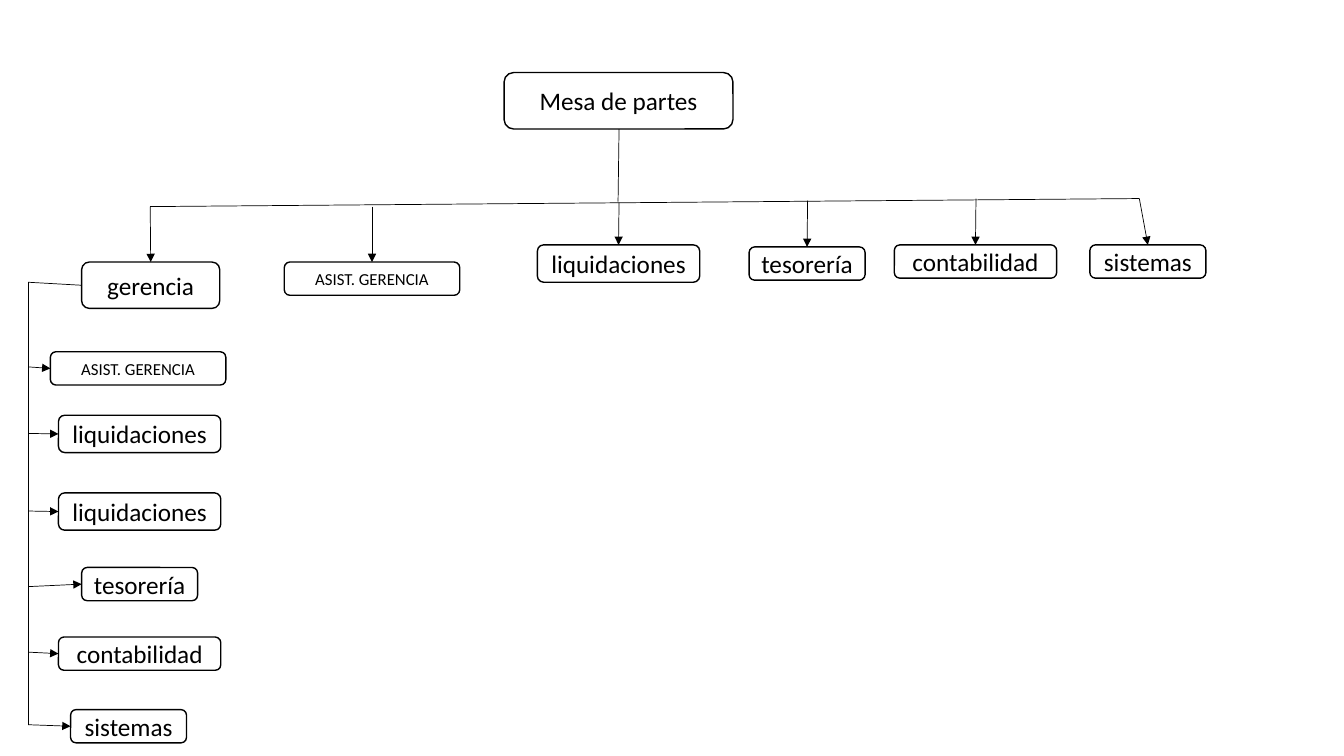
from lxml.etree import SubElement
from pptx import Presentation
from pptx.dml.color import RGBColor
from pptx.enum.shapes import MSO_CONNECTOR, MSO_SHAPE
from pptx.enum.text import MSO_ANCHOR, PP_ALIGN
from pptx.oxml.ns import qn
from pptx.util import Inches, Pt

COLOURS = {"ink": "000000", "paper": "FFFFFF"}
FONT = {"name": "Calibri"}

# Box: text, left, top, width, height, text size
ROOT = ("Mesa de partes", 5, 0.72, 2.27, 0.56, 18)

# Each box is followed by the height or position where its arrow leaves the trunk
AREAS = [
    (("gerencia", 0.81, 2.6, 1.37, 0.46, 18), (1.49, 2.05)),
    (("ASIST. GERENCIA", 2.82, 2.6, 1.74, 0.33, 12), (3.69, 2.05)),
    (("liquidaciones", 5.33, 2.43, 1.61, 0.37, 18), (6.14, 2.01)),
    (("tesorería", 7.43, 2.45, 1.15, 0.33, 18), (8.01, 1.99)),
    (("contabilidad", 8.87, 2.43, 1.61, 0.33, 18), (9.68, 1.97)),
    (("sistemas", 10.81, 2.43, 1.15, 0.33, 18), (11.3, 1.97)),
]
MANAGED = [
    (("ASIST. GERENCIA", 0.5, 3.49, 1.74, 0.33, 12), 3.64),
    (("liquidaciones", 0.58, 4.12, 1.61, 0.37, 18), 4.3),
    (("liquidaciones", 0.58, 4.89, 1.61, 0.37, 18), 5.07),
    (("tesorería", 0.81, 5.63, 1.15, 0.33, 18), 5.82),
    (("contabilidad", 0.58, 6.32, 1.61, 0.33, 18), 6.47),
    (("sistemas", 0.7, 7.04, 1.15, 0.33, 18), 7.19),
]
SIDE_TRUNK = 0.28
SIDE_TOP = 2.8


def colour(name):
    return RGBColor.from_string(COLOURS[name])


def add_box(page, box):
    text, *frame, size = box
    shape = page.shapes.add_shape(
        MSO_SHAPE.ROUNDED_RECTANGLE, *[Inches(length) for length in frame])
    shape.shadow.inherit = False
    shape.fill.solid()
    shape.fill.fore_color.rgb = colour("paper")
    shape.line.color.rgb = colour("ink")
    shape.line.width = Pt(1)
    shape.text_frame.vertical_anchor = MSO_ANCHOR.MIDDLE
    para = shape.text_frame.paragraphs[0]
    para.alignment = PP_ALIGN.CENTER
    span = para.add_run()
    span.text = text
    for name, value in {**FONT, "size": Pt(size)}.items():
        setattr(span.font, name, value)
    span.font.color.rgb = colour("ink")


def add_line(page, start, end, arrow=False):
    line = page.shapes.add_connector(
        MSO_CONNECTOR.STRAIGHT, *[Inches(length) for length in (*start, *end)])
    line.line.color.rgb = colour("ink")
    line.line.width = Pt(0.5)
    if arrow:
        SubElement(line.line._get_or_add_ln(), qn("a:tailEnd"), type="triangle")
    SubElement(line._element.spPr, qn("a:effectLst"))


def top_middle(box):
    _, left, top, width, _, _ = box
    return left + width / 2, top


def left_middle(box):
    _, left, top, _, height, _ = box
    return left, top + height / 2


def main():
    deck = Presentation()
    deck.slide_width, deck.slide_height = Inches(13.33), Inches(7.5)
    page = deck.slides.add_slide(deck.slide_layouts[6])

    for box in [ROOT] + [box for box, _ in AREAS + MANAGED]:
        add_box(page, box)

    add_line(page, AREAS[0][1], AREAS[-1][1])
    for box, start in AREAS:
        add_line(page, start, top_middle(box), arrow=True)

    add_line(page, (SIDE_TRUNK, MANAGED[-1][1]), (SIDE_TRUNK, SIDE_TOP))
    add_line(page, (SIDE_TRUNK, SIDE_TOP), left_middle(AREAS[0][0]))
    for box, height in MANAGED:
        add_line(page, (SIDE_TRUNK, height), left_middle(box), arrow=True)

    add_line(page, (6.14, 1.28), (6.13, 2))
    deck.save("out.pptx")


if __name__ == "__main__":
    main()
